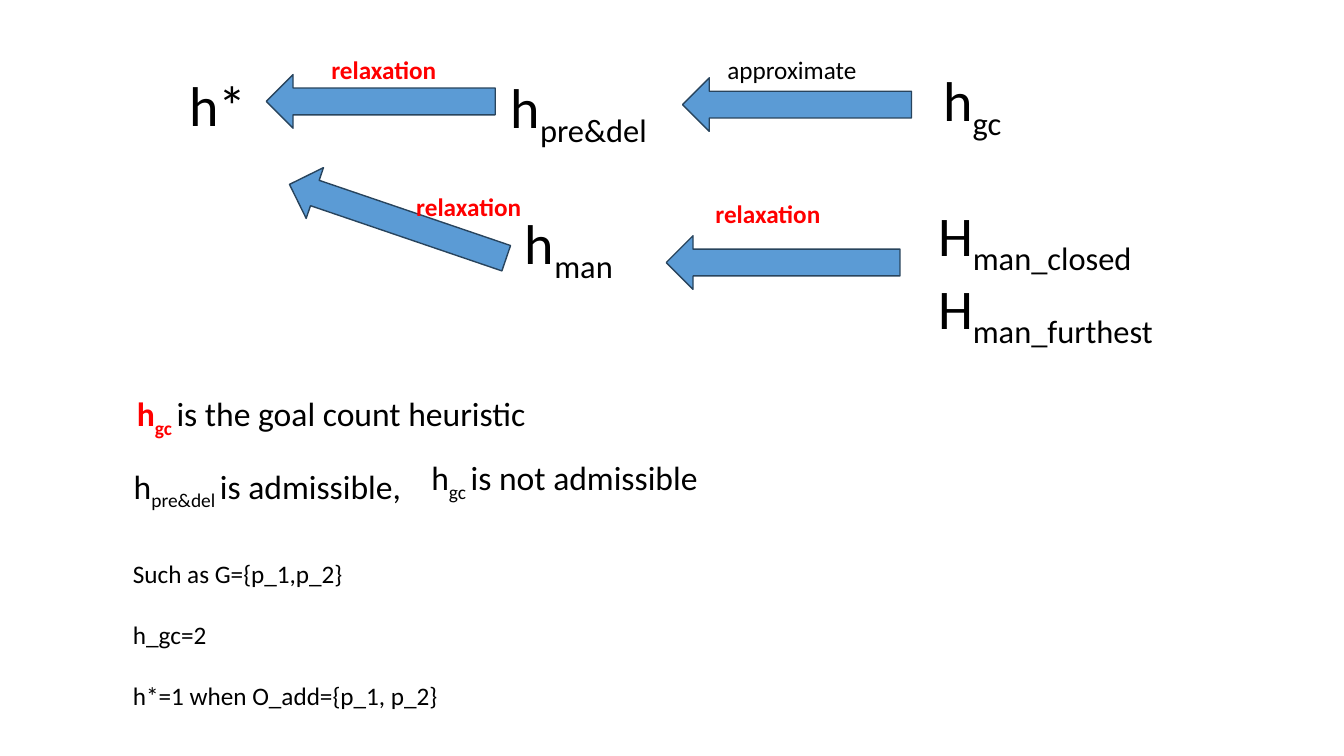
from dataclasses import dataclass
from pptx import Presentation
from pptx.dml.color import RGBColor
from pptx.enum.shapes import MSO_SHAPE
from pptx.enum.text import MSO_AUTO_SIZE
from pptx.util import Cm, Pt


@dataclass(frozen=True)
class Theme:
    face: str = "Calibri"
    ink: RGBColor = RGBColor(0, 0, 0)
    red: RGBColor = RGBColor(255, 0, 0)
    fill: RGBColor = RGBColor(0x5B, 0x9B, 0xD5)
    edge: RGBColor = RGBColor(0x28, 0x44, 0x5D)
    big: int = 40
    mid: int = 24
    small: int = 18


LOOK = Theme()


def style(font, size, color, bold=False):
    font.name, font.size, font.bold = LOOK.face, Pt(size), bold
    font.color.rgb = color


def add_box(slide, x, y, w, h, wrap):
    frame = slide.shapes.add_textbox(Cm(x), Cm(y), Cm(w), Cm(h)).text_frame
    frame.word_wrap = wrap
    frame.auto_size = MSO_AUTO_SIZE.SHAPE_TO_FIT_TEXT
    return frame


def add_run(para, text, sub=False):
    run = para.add_run()
    run.text = text
    if sub:
        run.font._element.set("baseline", "-25000")
    return run


def add_term(slide, x, y, w, h, size, base, sub, rest=""):
    """Write a symbol with its subscript, then any plain words."""
    para = add_box(slide, x, y, w, h, True).paragraphs[0]
    style(para.font, size, LOOK.ink)
    add_run(para, base)
    add_run(para, sub, True)
    if rest:
        add_run(para, rest)
    return para


def add_lines(slide, x, y, w, h, lines, size, color, bold=False, gap=0):
    frame = add_box(slide, x, y, w, h, False)
    for i, line in enumerate(lines):
        para = frame.paragraphs[0] if i == 0 else frame.add_paragraph()
        para.text = line
        para.space_before = Pt(gap if i else 0)
        style(para.font, size, color, bold)


def add_arrow(slide, x, y, w, turn):
    arrow = slide.shapes.add_shape(
        MSO_SHAPE.RIGHT_ARROW, Cm(x), Cm(y), Cm(w), Cm(1.35))
    arrow.rotation = turn
    arrow.shadow.inherit = False
    arrow.fill.solid()
    arrow.fill.fore_color.rgb = LOOK.fill
    arrow.line.color.rgb = LOOK.edge
    arrow.line.width = Pt(1)


def draw_graph(slide, left, top):
    # Arrows
    for x, y, w, turn in [(2.19, 0.64, 5.77, 180), (12.68, 0.72, 5.77, 180),
                          (2.62, 3.66, 5.77, 198.8), (12.27, 4.7, 5.89, 180)]:
        add_arrow(slide, left + x, top + y, w, turn)
    # Heuristics
    add_lines(slide, left, top + 0.41, 1.98, 1.96, ["h*"], LOOK.big, LOOK.ink)
    for x, y, w, base, sub in [(8.1, 0.46, 6.25, "h", "pre&del"),
                               (19, 0.28, 6.25, "h", "gc"),
                               (8.46, 3.89, 6.25, "h", "man"),
                               (18.87, 3.69, 6.25, "H", "man_closed"),
                               (18.87, 5.54, 7.49, "H", "man_furthest")]:
        add_term(slide, left + x, top + y, w, 1.96, LOOK.big, base, sub)
    # Arrow labels
    for x, y in [(3.58, 0), (13.26, 3.64), (5.72, 3.46)]:
        add_lines(slide, left + x, top + y, 3.18, 1.02, ["relaxation"],
                  LOOK.small, LOOK.red, True)
    add_lines(slide, left + 13.56, top, 3.81, 1.02, ["approximate"],
              LOOK.small, LOOK.ink)


def draw_notes(slide, left, top):
    # Statements
    goal = add_term(slide, left + 0.1, top, 19.56, 1.27, LOOK.mid,
                    "h", "gc ", "is the goal count heuristic")
    for run in goal.runs[:2]:
        run.font.bold = True
        run.font.color.rgb = LOOK.red
    for x, y, sub, rest in [(0.02, 1.83, "pre&del ", "is admissible,"),
                            (7.52, 1.62, "gc ", "is not admissible")]:
        add_term(slide, left + x, top + y, 14.96, 1.27, LOOK.mid,
                 "h", sub, rest)
    # Example
    add_lines(slide, left, top + 4.16, 8.28, 4.11,
              ["Such as G={p_1,p_2}", "h_gc=2", "h*=1 when O_add={p_1, p_2}"],
              LOOK.small, LOOK.ink, gap=22)


def main():
    deck = Presentation()
    deck.slide_width, deck.slide_height = Cm(33.87), Cm(19.05)
    slide = deck.slides.add_slide(deck.slide_layouts[6])
    draw_graph(slide, 4.52, 1.24)
    draw_notes(slide, 3.1, 9.78)
    deck.save("out.pptx")


if __name__ == "__main__":
    main()
